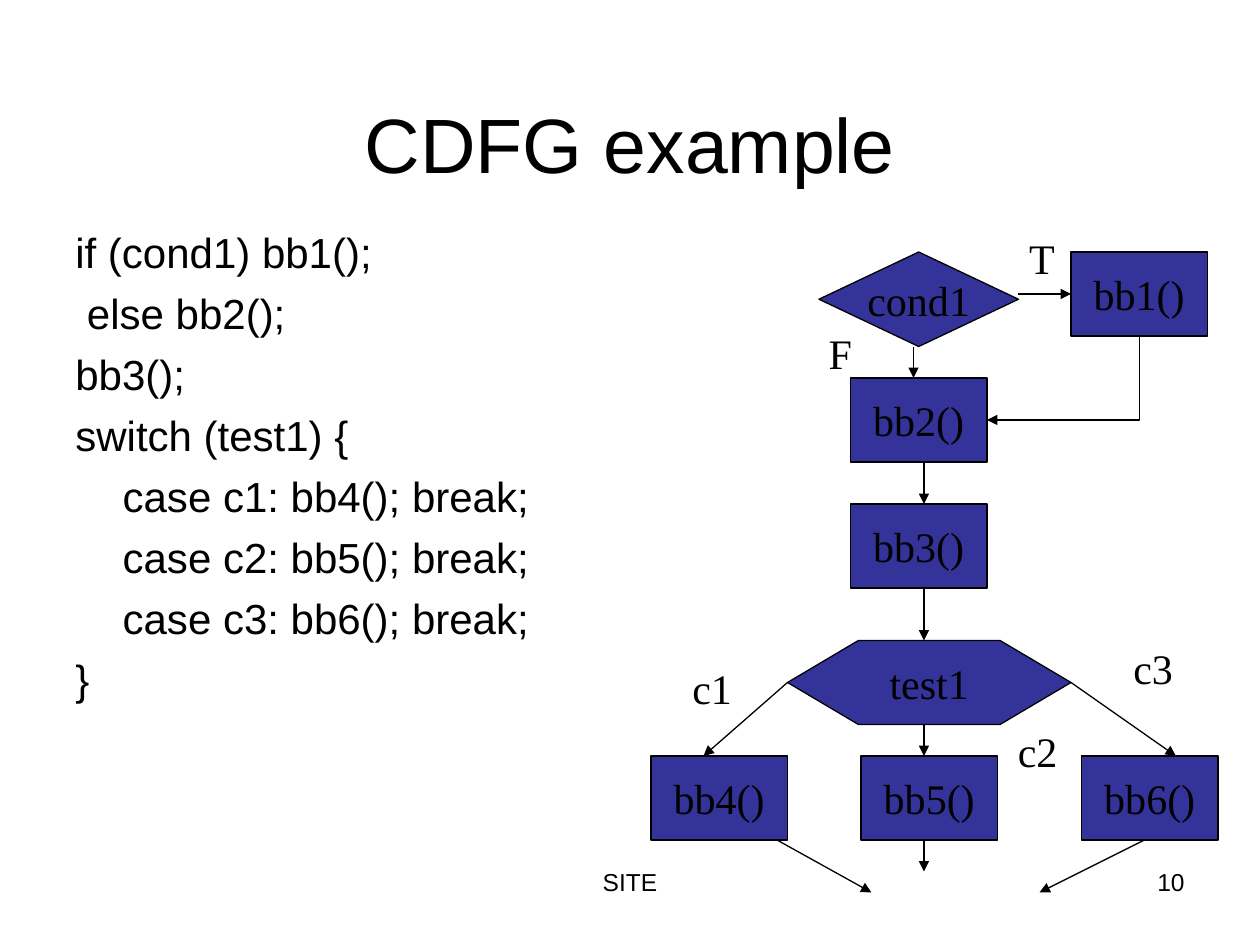
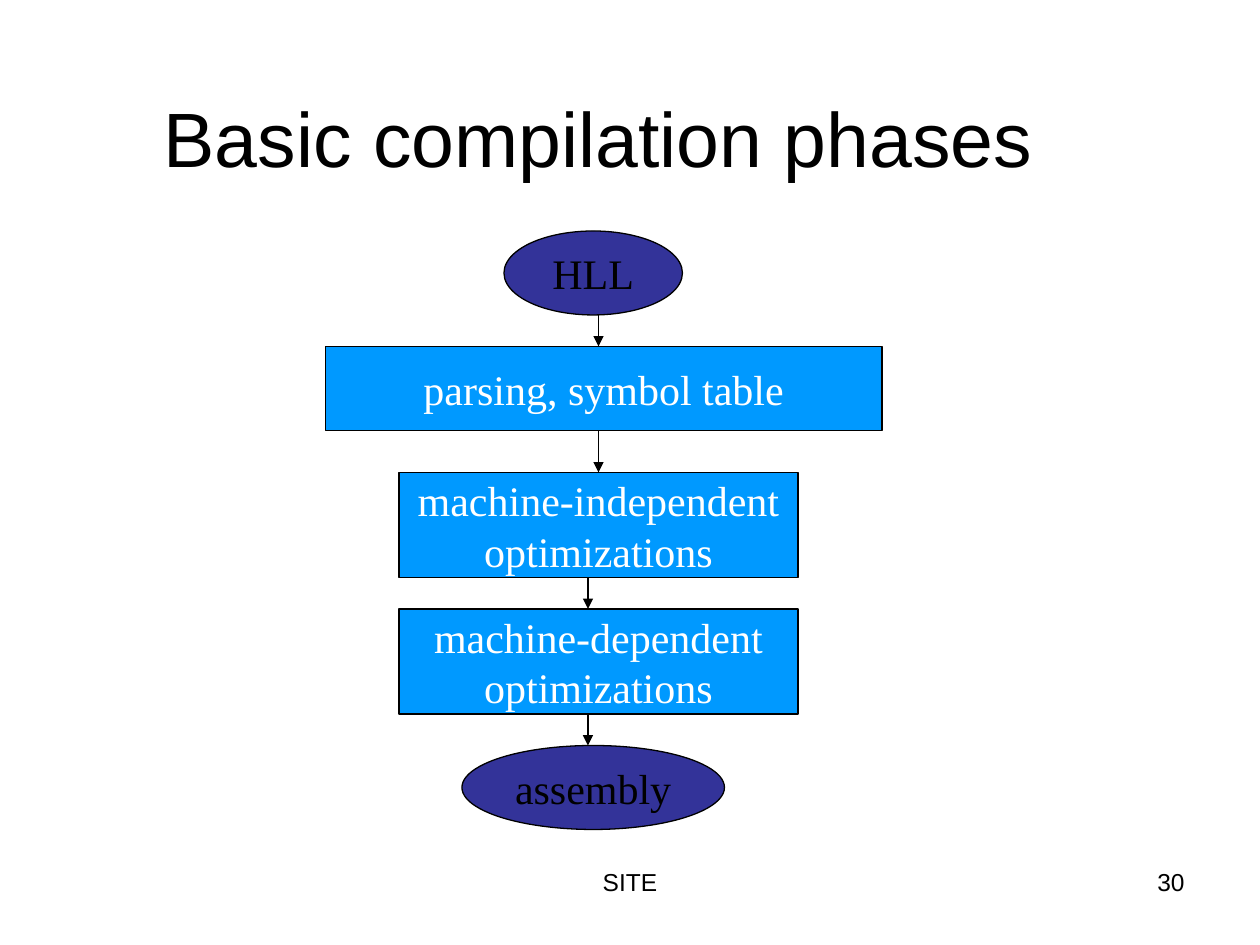
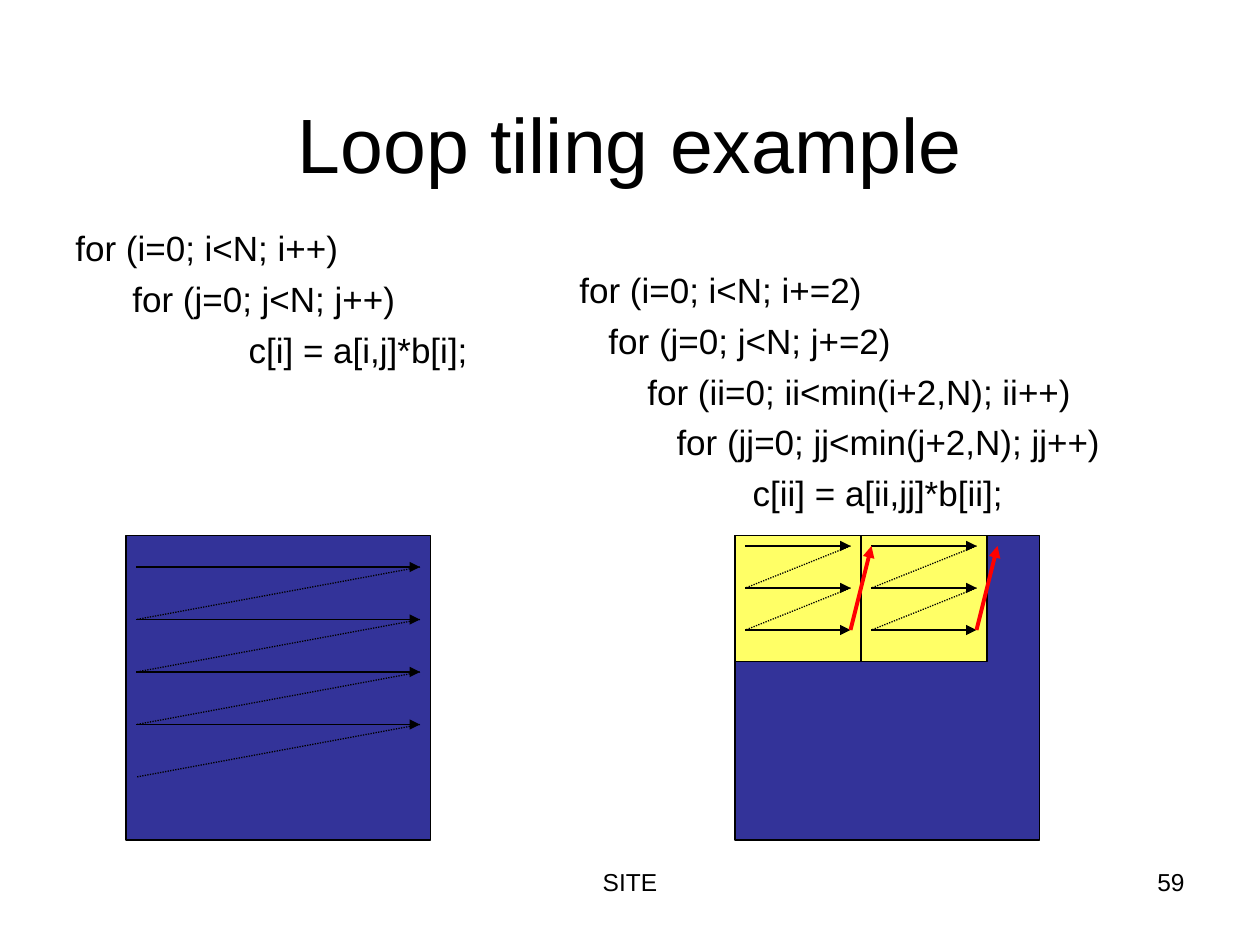
from dataclasses import dataclass
from lxml.etree import SubElement
from pptx import Presentation
from pptx.dml.color import RGBColor
from pptx.enum.dml import MSO_LINE
from pptx.enum.shapes import MSO_CONNECTOR, MSO_SHAPE
from pptx.enum.text import MSO_ANCHOR, MSO_AUTO_SIZE, PP_ALIGN
from pptx.oxml.ns import qn
from pptx.util import Pt


@dataclass(frozen=True)
class Theme:
    sans: str = "Arial"
    serif: str = "Times New Roman"
    black: str = "000000"
    white: str = "FFFFFF"
    navy: str = "333399"
    blue: str = "0099FF"
    yellow: str = "FFFF66"
    red: str = "FF0000"
    title_size: float = 44
    node_size: float = 24
    footer_size: float = 14
    thin: float = 0.75
    thick: float = 2.25


T = Theme()
TITLE_BOX = (36, 21.6, 648, 90)
NODE_W, NODE_H = 78, 48


def rgb(value):
    return RGBColor.from_string(value)


def pts(*values):
    return [Pt(v) for v in values]


def write(tf, lines, font, size, color=T.black, align=PP_ALIGN.LEFT):
    tf.text = "\n".join(lines)
    for p in tf.paragraphs:
        p.alignment = align
        p.font.name = font
        p.font.size = Pt(size)
        p.font.color.rgb = rgb(color)


def add_text(s, box, text, font, size, align=PP_ALIGN.LEFT):
    tf = s.shapes.add_textbox(*pts(*box)).text_frame
    tf.word_wrap = True
    write(tf, [text], font, size, align=align)
    return tf


def add_label(s, x, y, w, text):
    tf = add_text(s, (x, y, w, 36), text, T.serif, T.node_size)
    tf.word_wrap = False
    tf.auto_size = MSO_AUTO_SIZE.SHAPE_TO_FIT_TEXT


def add_slide(prs, title, number, box=TITLE_BOX):
    s = prs.slides.add_slide(prs.slide_layouts[5])
    sp = s.shapes.title
    sp.left, sp.top, sp.width, sp.height = pts(*box)
    sp.text_frame.vertical_anchor = MSO_ANCHOR.BOTTOM
    write(sp.text_frame, [title], T.sans, T.title_size, align=PP_ALIGN.CENTER)
    add_text(s, (246, 492, 228, 37.5), "SITE", T.sans, T.footer_size, PP_ALIGN.CENTER)
    add_text(s, (516, 492, 168, 37.5), str(number), T.sans, T.footer_size, PP_ALIGN.RIGHT)
    return s


def add_code(s, box, lines, size, gap):
    tf = s.shapes.add_textbox(*pts(*box)).text_frame
    tf.word_wrap = True
    write(tf, lines, T.sans, size)
    for p in tf.paragraphs:
        pPr = p._p.get_or_add_pPr()
        pPr.set("marL", str(Pt(27)))
        pPr.set("indent", str(Pt(-27)))
        pPr.set("defTabSz", str(Pt(72)))
    for p in tf.paragraphs[1:]:
        p.space_before = Pt(gap)


def add_node(s, kind, box, lines=(), fill=T.navy, color=T.black):
    sp = s.shapes.add_shape(kind, *pts(*box))
    sp.shadow.inherit = False
    sp.fill.solid()
    sp.fill.fore_color.rgb = rgb(fill)
    sp.line.color.rgb = rgb(T.black)
    sp.line.width = Pt(T.thin)
    if lines:
        tf = sp.text_frame
        tf.word_wrap = False
        tf.vertical_anchor = MSO_ANCHOR.MIDDLE
        write(tf, lines, T.serif, T.node_size, color, PP_ALIGN.CENTER)
    return sp


def style_line(cxn, color=T.black, width=T.thin, dotted=False):
    cxn.line.color.rgb = rgb(color)
    cxn.line.width = Pt(width)
    if dotted:
        cxn.line.dash_style = MSO_LINE.ROUND_DOT
    else:
        SubElement(cxn.line._get_or_add_ln(), qn("a:tailEnd"), type="triangle")
    SubElement(cxn._element.spPr, qn("a:effectLst"))


def add_line(s, x1, y1, x2, y2, **style):
    cxn = s.shapes.add_connector(MSO_CONNECTOR.STRAIGHT, *pts(x1, y1, x2, y2))
    style_line(cxn, **style)
    return cxn


def add_down_left_arrow(s, x1, y1, x2, y2):
    run, drop = x1 - x2, y2 - y1
    left, top = (x1 + x2 - drop) / 2, (y1 + y2 - run) / 2
    cxn = s.shapes.add_connector(
        MSO_CONNECTOR.ELBOW, *pts(left, top, left + drop, top + run))
    spPr = cxn._element.spPr
    spPr.find(qn("a:xfrm")).set("rot", str(90 * 60000))
    spPr.find(qn("a:prstGeom")).set("prst", "bentConnector2")
    style_line(cxn)


def add_sweep(s, left, right, top, step, rows, returns):
    for i in range(rows):
        y = top + i * step
        add_line(s, left, y, right, y)
        if i < returns:
            add_line(s, right, y, left, y + step, dotted=True)


def build_cdfg(prs):
    s = add_slide(prs, "CDFG example", 10)
    add_code(s, (36, 126, 318, 356), [
        "if (cond1) bb1();",
        " else bb2();",
        "bb3();",
        "switch (test1) {",
        "\tcase c1: bb4(); break;",
        "\tcase c2: bb5(); break;",
        "\tcase c3: bb6(); break;",
        "}",
    ], 24, 6)
    add_node(s, MSO_SHAPE.DIAMOND, (468, 144, 114, 54), ["cond1"])
    corners = [(612, 144), (486, 216), (486, 288), (372, 432), (492, 432), (618, 432)]
    blocks = [add_node(s, MSO_SHAPE.RECTANGLE, (x, y, NODE_W, NODE_H), [f"bb{i}()"])
              for i, (x, y) in enumerate(corners, 1)]
    test = add_node(s, MSO_SHAPE.HEXAGON, (450, 366, 162, 48), ["test1"])
    test.adjustments[0] = 0.844
    for label in [(581, 129.6, 29, "T"), (466.5, 183.6, 28, "F"), (388.5, 375, 38, "c1"),
                  (574.5, 411, 38, "c2"), (640.5, 363.6, 38, "c3")]:
        add_label(s, *label)
    add_line(s, 582, 168, 612, 168).end_connect(blocks[0], 1)
    add_down_left_arrow(s, 651, 192, 564, 240)
    for ends in [(522, 198, 522, 216), (528, 264, 528, 288), (528, 336, 528, 366),
                 (450, 390, 402, 432), (612, 390, 672, 432), (528, 414, 528, 432),
                 (444, 480, 498, 510), (528, 480, 528, 498), (654, 480, 594, 510)]:
        add_line(s, *ends)


def build_phases(prs):
    s = add_slide(prs, "Basic compilation phases", 30, (36, 18, 612, 90))
    phase = {"fill": T.blue, "color": T.white}
    add_node(s, MSO_SHAPE.OVAL, (288, 132, 102, 48), ["HLL"])
    add_node(s, MSO_SHAPE.RECTANGLE, (186, 198, 318, 48), ["parsing, symbol table"], **phase)
    independent, _ = [
        add_node(s, MSO_SHAPE.RECTANGLE, (228, y, 228, 60), [name, "optimizations"], **phase)
        for name, y in [("machine-independent", 270), ("machine-dependent", 348)]]
    add_node(s, MSO_SHAPE.OVAL, (264, 426, 150, 48), ["assembly"])
    add_line(s, 342, 246, 342, 270).end_connect(independent, 0)
    for x, y1, y2 in [(342, 180, 198), (336, 330, 348), (336, 408, 426)]:
        add_line(s, x, y1, x, y2)


def build_tiling(prs):
    s = add_slide(prs, "Loop tiling example", 59)
    add_code(s, (36, 126, 318, 106), [
        "for (i=0; i<N; i++)",
        "\t for (j=0; j<N; j++)",
        "\t\tc[i] = a[i,j]*b[i];",
    ], 20, 5)
    add_code(s, (324, 150, 374, 151), [
        "for (i=0; i<N; i+=2)",
        "   for (j=0; j<N; j+=2)",
        "       for (ii=0; ii<min(i+2,N); ii++)",
        "          for (jj=0; jj<min(j+2,N); jj++)",
        "\t\tc[ii] = a[ii,jj]*b[ii];",
    ], 20, 5)
    top, side, tile = 306, 174, 72
    for left in (72, 420):
        add_node(s, MSO_SHAPE.RECTANGLE, (left, top, side, side))
    add_sweep(s, 78, 240, 324, 30, rows=4, returns=4)
    tiles = [420 + tile * i for i in range(2)]
    for x in tiles:
        add_node(s, MSO_SHAPE.RECTANGLE, (x, top, tile, tile), fill=T.yellow)
        add_sweep(s, x + 6, x + 66, 312, 24, rows=3, returns=2)
    for x in tiles:
        add_line(s, x + 66, 360, x + 78, 312, color=T.red, width=T.thick)


def main():
    prs = Presentation()
    prs.slide_width, prs.slide_height = pts(720, 540)
    build_cdfg(prs)
    build_phases(prs)
    build_tiling(prs)
    prs.save("out.pptx")


if __name__ == "__main__":
    main()
